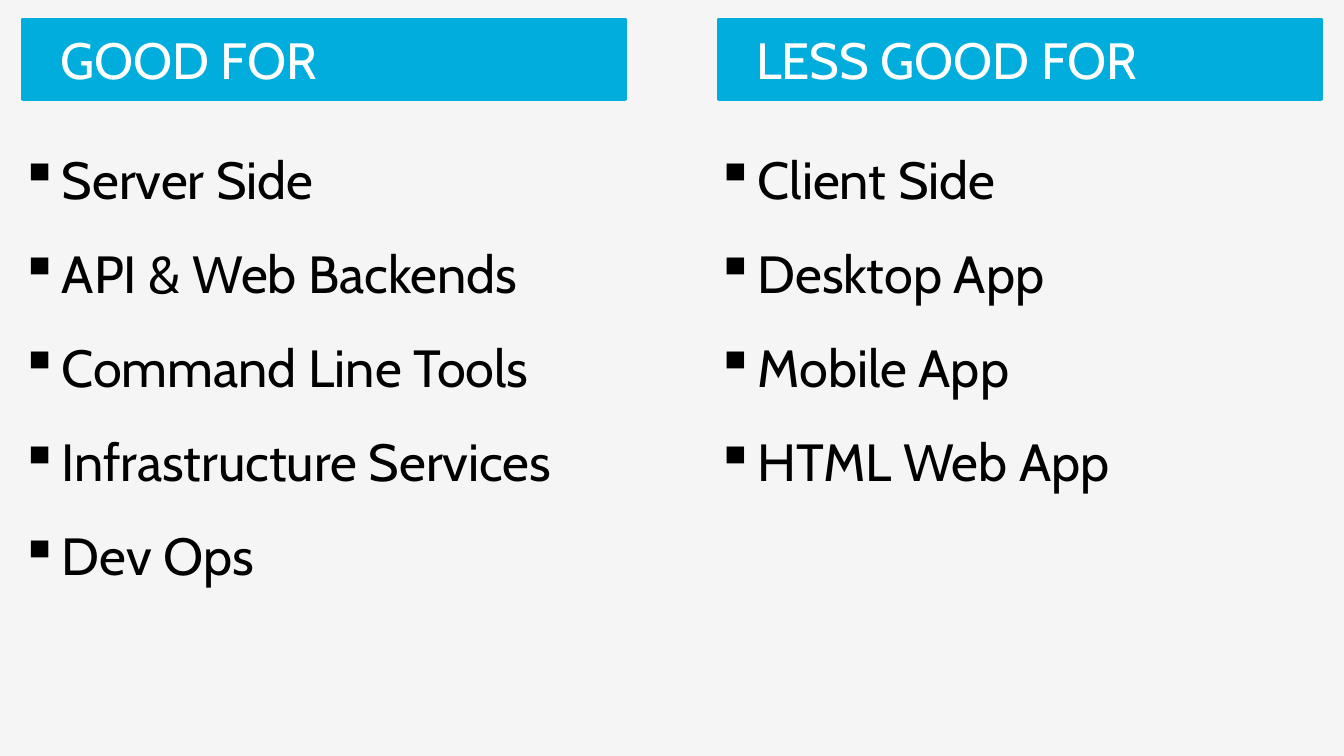
from dataclasses import dataclass

from lxml import etree
from pptx import Presentation
from pptx.dml.color import RGBColor
from pptx.enum import shapes, text
from pptx.oxml import ns
from pptx.util import Cm, Pt


@dataclass(frozen=True)
class Theme:
    font: str = "Cabin"
    back: str = "F5F5F5"
    bar: str = "00ADDC"
    head: str = "FFFFFF"
    body: str = "000000"
    head_size: float = 27.3
    body_size: float = 28
    line: float = 1.5


@dataclass(frozen=True)
class Box:
    x: float
    y: float
    w: float
    h: float

    def cm(self, dx: float = 0) -> tuple:
        return Cm(self.x + dx), Cm(self.y), Cm(self.w), Cm(self.h)


@dataclass(frozen=True)
class Column:
    title: str
    items: tuple[str, ...]


THEME = Theme()
BAR = Box(0.43, 0.36, 11.4, 1.52)
LABEL = Box(0.89, 0.36, 10.95, 1.52)
LIST_X, LIST_Y, LIST_W = 0.13, 2.06, 11.71
ROW = 1.8
INDENT = 0.79
PITCH = 13.15
COLUMNS = (
    Column("GOOD FOR", (
        "Server Side", "API & Web Backends", "Command Line Tools",
        "Infrastructure Services", "Dev Ops",
    )),
    Column("LESS GOOD FOR", (
        "Client Side", "Desktop App", "Mobile App", "HTML Web App",
    )),
)


def rgb(value: str) -> RGBColor:
    return RGBColor.from_string(value)


def add_bullet(para) -> None:
    props = para._p.get_or_add_pPr()
    props.set("marL", str(Cm(INDENT)))
    props.set("indent", str(-Cm(INDENT)))
    etree.SubElement(props, ns.qn("a:buChar")).set("char", "▪")


def write(parent, box: tuple, *lines: str, size: float, color: str,
          anchor=text.MSO_ANCHOR.TOP, fit=text.MSO_AUTO_SIZE.NONE,
          spacing: float = 1, bullet: bool = False) -> None:
    frame = parent.add_textbox(*box).text_frame
    frame.word_wrap = True
    frame.auto_size = fit
    frame.vertical_anchor = anchor
    for i, line in enumerate(lines):
        para = frame.add_paragraph() if i else frame.paragraphs[0]
        para.line_spacing = spacing
        if bullet:
            add_bullet(para)
        run = para.add_run()
        run.text = line
        run.font.name = THEME.font
        run.font.size = Pt(size)
        run.font.color.rgb = rgb(color)


def draw_head(slide, title: str, dx: float) -> None:
    group = slide.shapes.add_group_shape().shapes
    bar = group.add_shape(shapes.MSO_SHAPE.RECTANGLE, *BAR.cm(dx))
    bar.shadow.inherit = False
    bar.fill.solid()
    bar.fill.fore_color.rgb = rgb(THEME.bar)
    bar.line.color.rgb = rgb(THEME.bar)
    bar.line.width = Pt(THEME.line)
    write(group, LABEL.cm(dx), title, size=THEME.head_size,
          color=THEME.head, anchor=text.MSO_ANCHOR.MIDDLE)


def draw_list(slide, items: tuple[str, ...], dx: float) -> None:
    box = Box(LIST_X, LIST_Y, LIST_W, ROW * len(items))
    write(slide.shapes, box.cm(dx), *items, size=THEME.body_size,
          color=THEME.body, fit=text.MSO_AUTO_SIZE.SHAPE_TO_FIT_TEXT,
          spacing=1.5, bullet=True)


def main() -> None:
    deck = Presentation()
    deck.slide_width, deck.slide_height = Cm(25.4), Cm(14.29)
    slide = deck.slides.add_slide(deck.slide_layouts[6])
    slide.background.fill.solid()
    slide.background.fill.fore_color.rgb = rgb(THEME.back)
    for i, column in enumerate(COLUMNS):
        draw_head(slide, column.title, i * PITCH)
        draw_list(slide, column.items, i * PITCH)
    deck.save("out.pptx")


if __name__ == "__main__":
    main()
